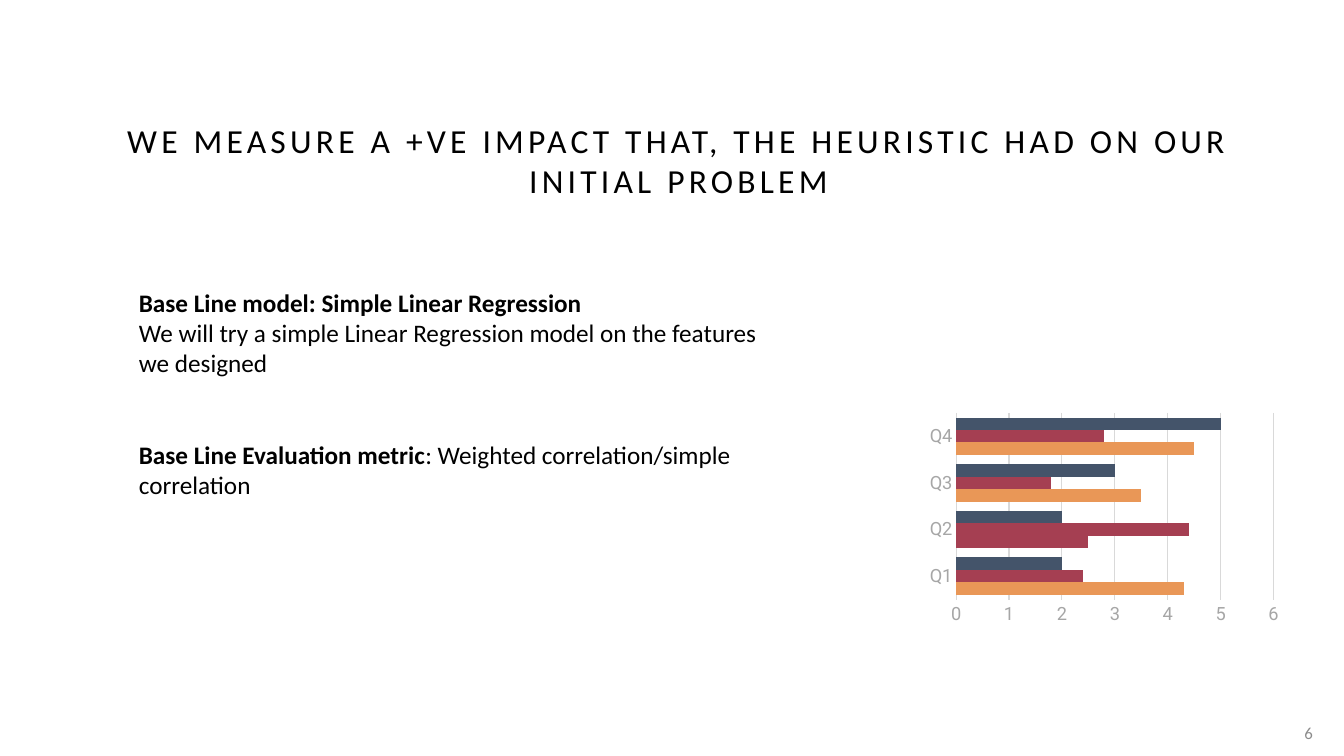
from dataclasses import dataclass

import pptx
import pptx.chart.data
import pptx.dml.color
import pptx.enum.chart
import pptx.enum.text
import pptx.util
from lxml import etree

SLIDE_WIDTH = pptx.util.Inches(13.33)
SLIDE_HEIGHT = pptx.util.Inches(7.5)
COLORS = {
    "text": "000000",
    "page": "8C8C8C",
    "axis": "A6A6A6",
    "grid": "D9D9D9",
    "orange": "E99757",
    "red": "A53F52",
    "navy": "44546A",
}
ALIGN = pptx.enum.text.PP_ALIGN
ANCHOR = pptx.enum.text.MSO_ANCHOR
AUTO_SIZE = pptx.enum.text.MSO_AUTO_SIZE
CHART = pptx.enum.chart


@dataclass(frozen=True)
class Area:
    """A rectangle in percent of the slide's width and height."""
    left: float
    top: float
    width: float
    height: float

    def box(self) -> tuple[int, int, int, int]:
        return (int(SLIDE_WIDTH * self.left / 100), int(SLIDE_HEIGHT * self.top / 100),
                int(SLIDE_WIDTH * self.width / 100), int(SLIDE_HEIGHT * self.height / 100))


@dataclass(frozen=True)
class Run:
    text: str
    size: float = 18
    bold: bool = False
    color: str = "text"


@dataclass(frozen=True)
class Paragraph:
    runs: tuple[Run, ...]
    align: ALIGN = ALIGN.LEFT
    space_before: float = 0


@dataclass(frozen=True)
class Sector:
    name: str
    values: tuple[float, ...]
    color: str


TITLE = Paragraph((Run("WE MEASURE A +VE IMPACT THAT, THE HEURISTIC HAD ON OUR INITIAL PROBLEM", 24),),
                  ALIGN.CENTER)
BASELINE = (
    Paragraph((Run("Base Line model: Simple Linear Regression", bold=True),)),
    Paragraph((Run("We will try a simple Linear Regression model on the features we designed"),)),
    Paragraph((Run("Base Line Evaluation metric", bold=True),
               Run(": Weighted correlation/simple correlation")), space_before=44),
)
PAGE_NUMBER = Paragraph((Run("6", 12, color="page"),), ALIGN.RIGHT)
QUARTERS = ("Q1", "Q2", "Q3", "Q4")
SECTORS = (
    Sector("Sector 1", (4.3, 2.5, 3.5, 4.5), "orange"),
    Sector("Sector 2", (2.4, 4.4, 1.8, 2.8), "red"),
    Sector("Sector 3", (2, 2, 3, 5), "navy"),
)
PLOT_LAYOUT = {"x": 0.118, "y": 0.095, "w": 0.785, "h": 0.686}


def rgb(name: str) -> pptx.dml.color.RGBColor:
    return pptx.dml.color.RGBColor.from_string(COLORS[name])


def apply(target, formats: dict) -> None:
    for name, value in formats.items():
        setattr(target, name, value)


def style_font(font, face: str, size: float, color: str, bold: bool = False) -> None:
    apply(font, {"name": face, "size": pptx.util.Pt(size), "bold": bold})
    font.color.rgb = rgb(color)


def write(frame, paragraphs: tuple[Paragraph, ...], anchor: ANCHOR, auto_size: AUTO_SIZE) -> None:
    apply(frame, {"word_wrap": True, "vertical_anchor": anchor, "auto_size": auto_size})
    for index, content in enumerate(paragraphs):
        line = frame.add_paragraph() if index else frame.paragraphs[0]
        apply(line, {"alignment": content.align,
                     "space_before": pptx.util.Pt(content.space_before)})
        for part in content.runs:
            run = line.add_run()
            run.text = part.text
            style_font(run.font, "Calibri", part.size, part.color, part.bold)


def add_title(slide, area: Area) -> None:
    title = slide.shapes.title
    apply(title, dict(zip(("left", "top", "width", "height"), area.box())))
    write(title.text_frame, (TITLE,), ANCHOR.MIDDLE, AUTO_SIZE.NONE)
    for run in title.text_frame.paragraphs[0].runs:
        run.font._element.set("spc", "300")


def fix_plot_layout(chart) -> None:
    """Pin the inner plot area to shares of the chart's frame."""
    plot_area = chart._chartSpace.chart.plotArea
    namespace = etree.QName(plot_area).namespace
    for old in plot_area.findall(f"{{{namespace}}}layout"):
        plot_area.remove(old)
    layout = etree.Element(f"{{{namespace}}}layout")
    manual = etree.SubElement(layout, f"{{{namespace}}}manualLayout")
    settings = {"layoutTarget": "inner", "xMode": "edge", "yMode": "edge", **PLOT_LAYOUT}
    for tag, value in settings.items():
        etree.SubElement(manual, f"{{{namespace}}}{tag}").set("val", str(value))
    plot_area.insert(0, layout)


def style_line(line, color: str) -> None:
    line.color.rgb = rgb(color)
    line.width = pptx.util.Pt(0.75)


def add_sector_chart(slide, area: Area) -> None:
    data = pptx.chart.data.CategoryChartData()
    data.categories = QUARTERS
    for sector in SECTORS:
        data.add_series(sector.name, sector.values)
    chart = slide.shapes.add_chart(CHART.XL_CHART_TYPE.BAR_CLUSTERED, *area.box(), data).chart
    apply(chart, {"has_legend": False, "has_title": False})
    style_font(chart.font, "Roboto", 15, "text")

    plot = chart.plots[0]
    apply(plot, {"gap_width": 75, "overlap": 0, "vary_by_categories": False})
    for series, sector in zip(plot.series, SECTORS):
        series.invert_if_negative = False
        series.format.fill.solid()
        series.format.fill.fore_color.rgb = rgb(sector.color)
    second_quarter = plot.series[0].points[QUARTERS.index("Q2")].format.fill
    second_quarter.solid()
    second_quarter.fore_color.rgb = rgb("red")

    quarters, amounts = chart.category_axis, chart.value_axis
    for axis in (quarters, amounts):
        apply(axis, {"major_tick_mark": CHART.XL_TICK_MARK.NONE,
                     "minor_tick_mark": CHART.XL_TICK_MARK.NONE})
        style_font(axis.tick_labels.font, "Roboto", 13, "axis")
    style_line(quarters.format.line, "grid")
    apply(amounts, {"minimum_scale": 0, "maximum_scale": 6, "major_unit": 1,
                    "has_major_gridlines": True})
    amounts.format.line.fill.background()
    style_line(amounts.major_gridlines.format.line, "grid")
    fix_plot_layout(chart)


def main() -> None:
    deck = pptx.Presentation()
    apply(deck, {"slide_width": SLIDE_WIDTH, "slide_height": SLIDE_HEIGHT})
    slide = deck.slides.add_slide(deck.slide_layouts.get_by_name("Title Only"))
    add_title(slide, Area(5.85, 12.67, 89.27, 16.93))
    page = slide.shapes.add_textbox(*Area(94.75, 94.27, 3.68, 5.33).box())
    write(page.text_frame, (PAGE_NUMBER,), ANCHOR.MIDDLE, AUTO_SIZE.NONE)
    add_sector_chart(slide, Area(67.59, 51.2, 30.08, 36))
    baseline = slide.shapes.add_textbox(*Area(9.6, 37.33, 47.71, 29.6).box())
    write(baseline.text_frame, BASELINE, ANCHOR.TOP, AUTO_SIZE.SHAPE_TO_FIT_TEXT)
    deck.save("out.pptx")


if __name__ == "__main__":
    main()
